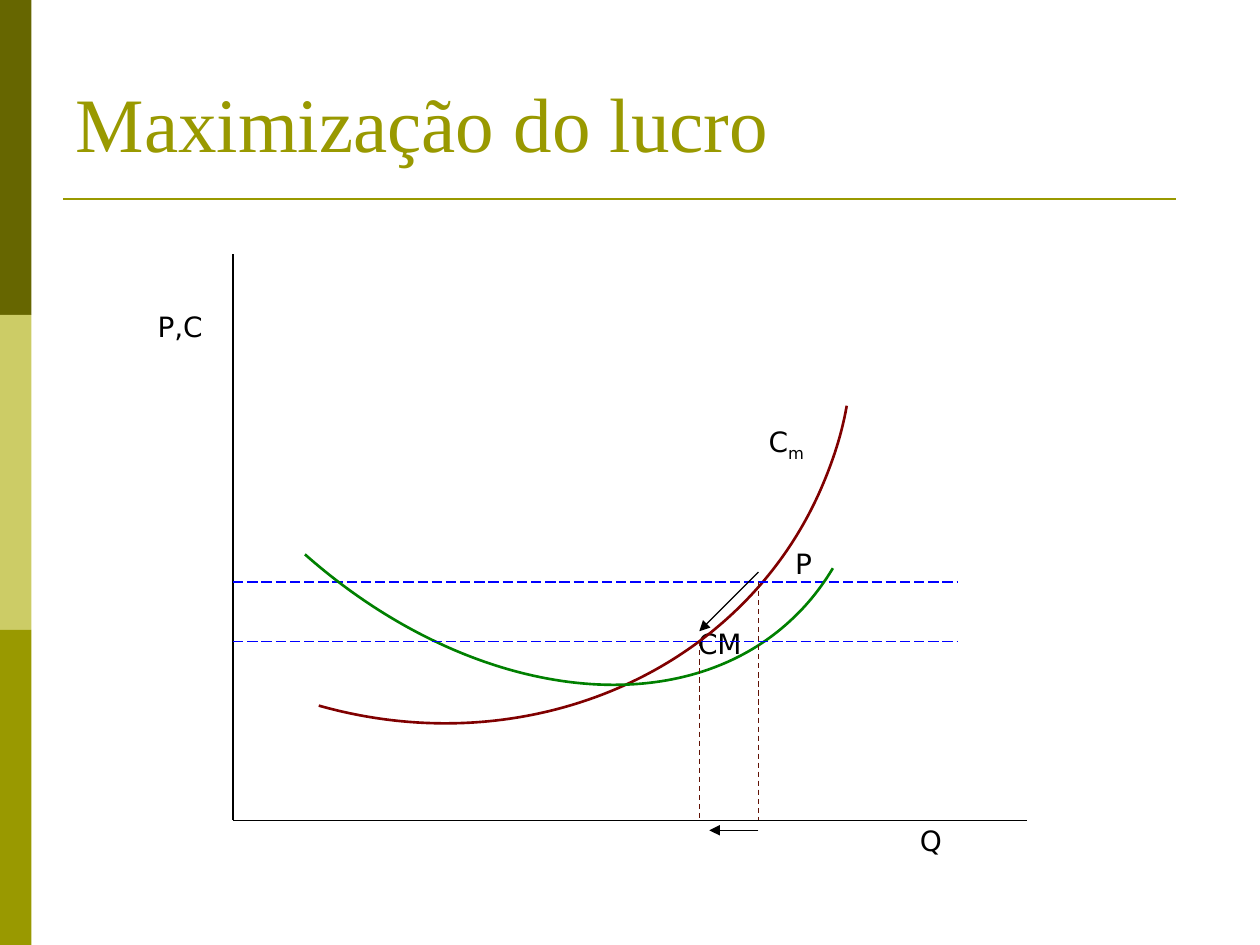
from pptx import Presentation
from pptx.dml.color import RGBColor
from pptx.enum.dml import MSO_LINE
from pptx.enum.shapes import MSO_CONNECTOR, MSO_SHAPE
from pptx.enum.text import MSO_ANCHOR, MSO_AUTO_SIZE, PP_ALIGN
from pptx.oxml.ns import qn
from pptx.util import Inches, Pt
from lxml.etree import SubElement

DARK_OLIVE = RGBColor(0x66, 0x66, 0x00)
LIGHT_OLIVE = RGBColor(0xCC, 0xCC, 0x66)
OLIVE = RGBColor(0x99, 0x99, 0x00)
BLACK = RGBColor(0x00, 0x00, 0x00)
BLUE = RGBColor(0x00, 0x00, 0xFF)
BROWN = RGBColor(0x61, 0x12, 0x05)
MAROON = RGBColor(0x80, 0x00, 0x00)
GREEN = RGBColor(0x00, 0x80, 0x00)

AXIS_LEFT, AXIS_TOP, AXIS_BOTTOM, AXIS_RIGHT = 1.85, 2.02, 6.51, 8.15
PRICE_RIGHT = 7.6
HIGH_PRICE, LOW_PRICE = 4.62, 5.09
HIGH_QUANTITY, LOW_QUANTITY = 6.02, 5.55

MARGINAL_COST = [
    (6.72, 3.22), (6.68, 3.45), (6.61, 3.66), (6.52, 3.87),
    (5.89, 5.33), (4.19, 6.07), (2.53, 5.6),
]
AVERAGE_COST = [
    (6.61, 4.51), (6.52, 4.66), (6.41, 4.8), (6.28, 4.92),
    (5.37, 5.77), (3.72, 5.55), (2.42, 4.4),
]
LABELS = [
    (0.64, 0, "P,C", ""),
    (5.49, 46.4, "C", "m"),
    (5.7, 48, "P", ""),
    (4.93, 26.5, "CM", ""),
    (6.69, 93.4, "Q", ""),
]


def add_band(slide, top, color):
    band = slide.shapes.add_shape(
        MSO_SHAPE.RECTANGLE, 0, Inches(top), Inches(0.25), Inches(2.5))
    band.shadow.inherit = False
    band.fill.solid()
    band.fill.fore_color.rgb = color
    band.line.fill.background()


def add_line(slide, start, end, color=BLACK, width=0.75, dash=None, arrow=False):
    line = slide.shapes.add_connector(
        MSO_CONNECTOR.STRAIGHT, *map(Inches, (*start, *end)))
    line.line.color.rgb = color
    line.line.width = Pt(width)
    if dash:
        line.line.dash_style = dash
    if arrow:
        SubElement(line.line._get_or_add_ln(), qn("a:tailEnd"), type="triangle")
    SubElement(line._element.spPr, qn("a:effectLst"))


def add_curve(slide, points, color):
    start, *controls = [tuple(map(Inches, point)) for point in points]
    builder = slide.shapes.build_freeform(*start)
    builder.add_line_segments(controls, close=False)
    curve = builder.convert_to_shape()
    outline = next(curve._element.iter(qn("a:path")))
    segments = outline.findall(qn("a:lnTo"))
    for first in range(0, len(segments), 3):
        bezier = SubElement(outline, qn("a:cubicBezTo"))
        for segment in segments[first:first + 3]:
            bezier.append(segment[0])
            outline.remove(segment)
    curve.shadow.inherit = False
    curve.fill.background()
    curve.line.color.rgb = color
    curve.line.width = Pt(1.5)


def place(shape, left, top, width, height):
    shape.left, shape.top = Inches(left), Inches(top)
    shape.width, shape.height = Inches(width), Inches(height)


def set_title(slide, text):
    title = slide.shapes.title
    place(title, 0.5, 0.13, 9, 1.25)
    title.text_frame.vertical_anchor = MSO_ANCHOR.BOTTOM
    para = title.text_frame.paragraphs[0]
    para.text = text
    para.alignment = PP_ALIGN.LEFT
    para.font.name = "Times New Roman"
    para.font.size = Pt(44)
    para.font.color.rgb = OLIVE


def set_labels(slide):
    body = slide.placeholders[1]
    place(body, 0.51, 1.78, 9, 5.23)
    frame = body.text_frame
    frame.auto_size = MSO_AUTO_SIZE.NONE
    frame.margin_top = Inches(0.68)
    for index, (indent, space, text, subscript) in enumerate(LABELS):
        para = frame.add_paragraph() if index else frame.paragraphs[0]
        para.space_before = Pt(space)
        properties = para._p.get_or_add_pPr()
        properties.set("marL", str(Inches(indent)))
        properties.set("indent", "0")
        SubElement(properties, qn("a:buNone"))
        para.font.name = "DejaVu Sans"
        para.font.size = Pt(16)
        para.font.color.rgb = BLACK
        para.add_run().text = text
        if subscript:
            span = para.add_run()
            span.text = subscript
            span.font._element.set("baseline", "-25000")


def add_price(slide, price):
    add_line(slide, (AXIS_LEFT, price), (PRICE_RIGHT, price),
             BLUE, dash=MSO_LINE.LONG_DASH)


def add_quantity(slide, quantity, price):
    add_line(slide, (quantity, price), (quantity, AXIS_BOTTOM),
             BROWN, dash=MSO_LINE.DASH)


def main():
    deck = Presentation()
    deck.slide_width, deck.slide_height = Inches(10), Inches(7.5)
    page = deck.slides.add_slide(deck.slide_layouts[1])

    for index, color in enumerate((DARK_OLIVE, LIGHT_OLIVE, OLIVE)):
        add_band(page, 2.5 * index, color)
    add_line(page, (0.5, 1.58), (9.33, 1.58), OLIVE, 1.5)
    set_title(page, "Maximização do lucro")
    set_labels(page)

    origin = (AXIS_LEFT, AXIS_BOTTOM)
    add_line(page, origin, (AXIS_RIGHT, AXIS_BOTTOM))
    add_line(page, origin, (AXIS_LEFT, AXIS_TOP))
    add_curve(page, MARGINAL_COST, MAROON)
    add_price(page, HIGH_PRICE)
    add_curve(page, AVERAGE_COST, GREEN)
    add_quantity(page, HIGH_QUANTITY, HIGH_PRICE)
    add_price(page, LOW_PRICE)
    add_line(page, (HIGH_QUANTITY, 4.54), (LOW_QUANTITY, 5.01), arrow=True)
    add_quantity(page, LOW_QUANTITY, LOW_PRICE)
    add_line(page, (HIGH_QUANTITY, 6.59), (5.63, 6.59), arrow=True)

    deck.save("out.pptx")


if __name__ == "__main__":
    main()
